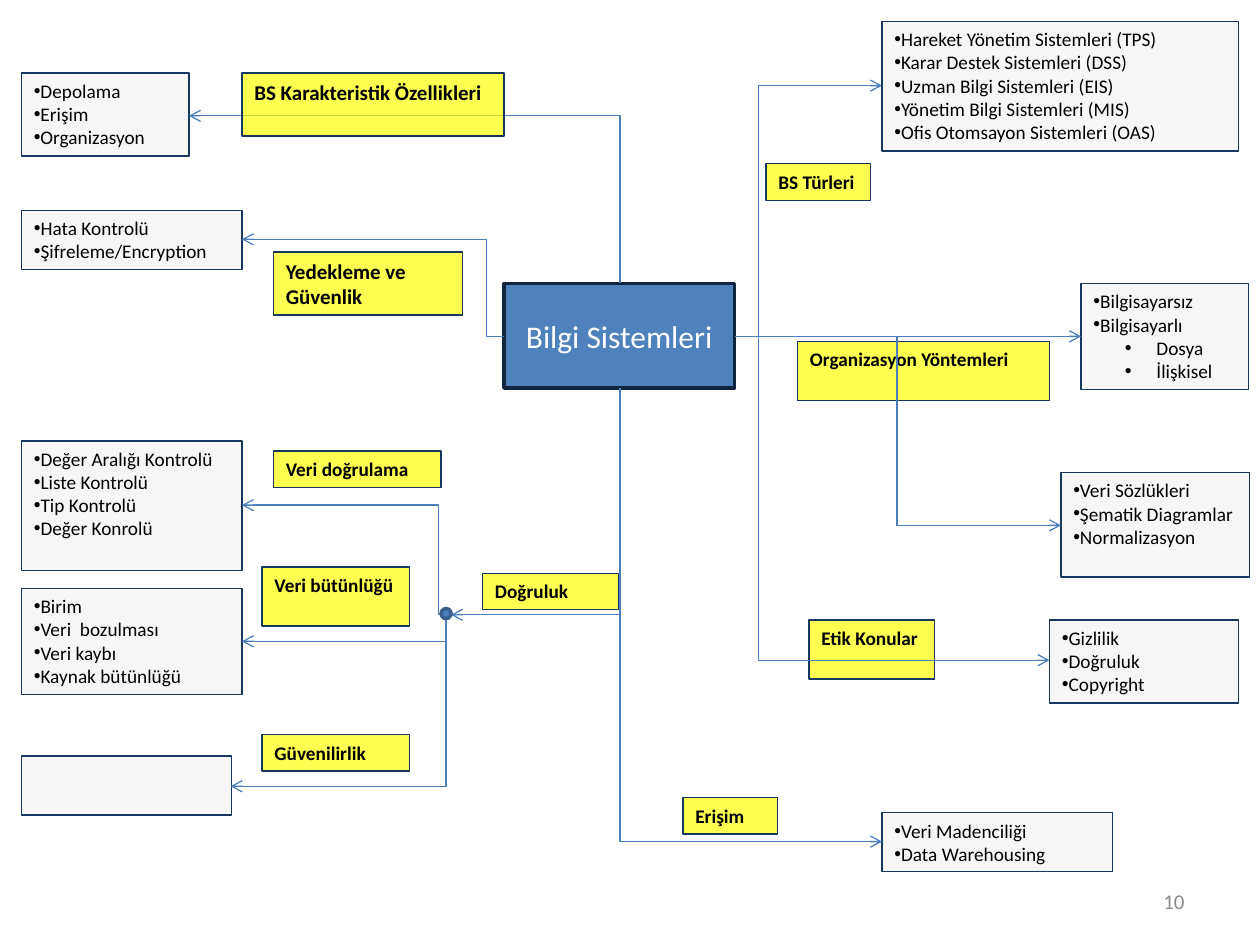
from lxml import etree
from pptx import Presentation
from pptx.dml.color import RGBColor
from pptx.enum.shapes import MSO_CONNECTOR, MSO_SHAPE
from pptx.enum.text import MSO_ANCHOR, PP_ALIGN
from pptx.oxml.ns import qn
from pptx.util import Inches, Pt

RECT, OVAL = MSO_SHAPE.RECTANGLE, MSO_SHAPE.OVAL
ELBOW = MSO_CONNECTOR.ELBOW
TOP, MIDDLE = MSO_ANCHOR.TOP, MSO_ANCHOR.MIDDLE
LEFT, CENTER, RIGHT = PP_ALIGN.LEFT, PP_ALIGN.CENTER, PP_ALIGN.RIGHT
FONT = "Calibri"
COLORS = {
    "hub": "4F81BD", "hub_line": "0F243E", "dot_line": "3A5F8C",
    "note": "F2F2F2", "label": "FFFF00", "box_line": "17375E",
    "arrow": "4B7EBC", "text": "000000", "white": "FFFFFF", "number": "8C8C8C",
}

NOTES = [
    ((0.17, 0.58, 1.33, 0.66), ["Depolama", "Erişim", "Organizasyon"]),
    ((7, 0.17, 2.83, 1.03), [
        "Hareket Yönetim Sistemleri (TPS)", "Karar Destek Sistemleri (DSS)",
        "Uzman Bilgi Sistemleri (EIS)", "Yönetim Bilgi Sistemleri (MIS)",
        "Ofis Otomsayon Sistemleri (OAS)"]),
    ((0.17, 6, 1.67, 0.47), []),
    ((0.17, 1.67, 1.75, 0.47), ["Hata Kontrolü", "Şifreleme/Encryption"]),
    ((0.17, 3.5, 1.75, 1.03), [
        "Değer Aralığı Kontrolü", "Liste Kontrolü", "Tip Kontrolü", "Değer Konrolü"]),
    ((0.17, 4.67, 1.75, 0.84), [
        "Birim", "Veri  bozulması", "Veri kaybı", "Kaynak bütünlüğü"]),
    ((8.58, 2.25, 1.33, 0.84), [
        "Bilgisayarsız", "Bilgisayarlı", ("Dosya",), ("İlişkisel",)]),
    ((8.42, 3.75, 1.5, 0.83), ["Veri Sözlükleri", "Şematik Diagramlar", "Normalizasyon"]),
    ((8.33, 4.92, 1.5, 0.66), ["Gizlilik", "Doğruluk", "Copyright"]),
    ((7, 6.45, 1.83, 0.47), ["Veri Madenciliği", "Data Warehousing"]),
]
LABELS_BEHIND = [
    ((6.33, 2.71, 2, 0.47), "Organizasyon Yöntemleri", 11),
    ((6.42, 4.92, 1, 0.47), "Etik Konular", 11),
]
LABELS_FRONT = [
    ((1.92, 0.58, 2.08, 0.5), "BS Karakteristik Özellikleri", 12),
    ((2.17, 2, 1.5, 0.5), "Yedekleme ve Güvenlik", 12),
    ((6.08, 1.3, 0.83, 0.29), "BS Türleri", 11),
    ((3.83, 4.55, 1.08, 0.29), "Doğruluk", 11),
    ((5.42, 6.33, 0.75, 0.29), "Erişim", 11),
    ((2.17, 3.58, 1.33, 0.29), "Veri doğrulama", 11),
    ((2.08, 4.5, 1.17, 0.47), "Veri bütünlüğü", 11),
    ((2.08, 5.83, 1.17, 0.29), "Güvenilirlik", 11),
]
HUB = (4, 2.25, 1.83, 0.83)
HUB_TOP, HUB_BOTTOM = (4.92, 2.25), (4.92, 3.08)
HUB_LEFT, HUB_RIGHT = (4, 2.67), (5.83, 2.67)
DOT = (3.5, 4.83, 0.08, 0.08)
DOT_BOTTOM = (3.54, 4.92)
CORNER_ARROWS = [
    (HUB_TOP, (1.5, 0.92)),
    (DOT_BOTTOM, (1.92, 5.09)),
    (DOT_BOTTOM, (1.83, 6.24)),
    (HUB_BOTTOM, (3.58, 4.88)),
    (HUB_BOTTOM, (7, 6.68)),
]
STEP_ARROWS = [
    (HUB_RIGHT, (7, 0.68), 6.02),
    (HUB_LEFT, (1.92, 1.9), 3.86),
    ((3.5, 4.88), (1.92, 4.01), 3.48),
    (HUB_RIGHT, (8.58, 2.67), 7.21),
    (HUB_RIGHT, (8.42, 4.17), 7.12),
    (HUB_RIGHT, (8.33, 5.24), 6.02),
]


def rgb(name):
    return RGBColor.from_string(COLORS[name])


def add_box(s, box, fill, line, width, kind=RECT, alpha=None):
    sp = s.shapes.add_shape(kind, *map(Inches, box))
    sp.shadow.inherit = False
    sp.fill.solid()
    sp.fill.fore_color.rgb = rgb(fill)
    sp.line.color.rgb = rgb(line)
    sp.line.width = Pt(width)
    if alpha:
        clr = sp._element.spPr.find(qn("a:solidFill")).find(qn("a:srgbClr"))
        etree.SubElement(clr, qn("a:alpha")).set("val", str(alpha * 1000))
    return sp


def write(sp, lines, size, color="text", bold=False, align=LEFT, anchor=TOP):
    tf = sp.text_frame
    tf.word_wrap = True
    tf.vertical_anchor = anchor
    tf.text = "\n".join(lines)
    for p in tf.paragraphs:
        p.alignment = align
        for r in p.runs:
            r.font.name = FONT
            r.font.size = Pt(size)
            r.font.bold = bold
            r.font.color.rgb = rgb(color)
    return tf


def add_note(s, box, items):
    sp = add_box(s, box, "note", "box_line", 0.75, alpha=68)
    if not items:
        return
    lines = [i if isinstance(i, str) else i[0] for i in items]
    tf = write(sp, lines, 11)
    for p, item in zip(tf.paragraphs, items):
        nested = not isinstance(item, str)
        p.level = int(nested)
        pPr = p._p.get_or_add_pPr()
        pPr.set("marL", str(Inches(0.5 if nested else 0)))
        pPr.set("indent", str(Inches(-0.25 if nested else 0)))
        etree.SubElement(pPr, qn("a:buFont")).set("typeface", "Arial")
        etree.SubElement(pPr, qn("a:buChar")).set("char", "•")


def add_label(s, box, text, size):
    write(add_box(s, box, "label", "box_line", 0.75, alpha=68), [text], size, bold=True)


def add_arrow(s, start, end):
    c = s.shapes.add_connector(ELBOW, *map(Inches, start + end))
    c.line.color.rgb = rgb("arrow")
    c.line.width = Pt(0.75)
    etree.SubElement(c.line._get_or_add_ln(), qn("a:tailEnd")).set("type", "arrow")
    etree.SubElement(c._element.spPr, qn("a:effectLst"))
    return c


def add_step_arrow(s, start, end, bend):
    c = add_arrow(s, start, end)
    share = (bend - start[0]) / (end[0] - start[0])
    av = c._element.spPr.find(qn("a:prstGeom")).get_or_add_avLst()
    gd = etree.SubElement(av, qn("a:gd"))
    gd.set("name", "adj1")
    gd.set("fmla", f"val {round(share * 100000)}")


def add_corner_arrow(s, start, end):
    (x1, y1), (x2, y2) = start, end
    w, h = abs(y2 - y1), abs(x2 - x1)
    left, top = (x1 + x2 - w) / 2, (y1 + y2 - h) / 2
    down, right = y2 > y1, x2 > x1
    c = add_arrow(s, (left, top), (left + w, top + h))
    spPr = c._element.spPr
    spPr.find(qn("a:prstGeom")).set("prst", "bentConnector2")
    xfrm = spPr.find(qn("a:xfrm"))
    xfrm.set("rot", str((90 if down and not right else 270) * 60000))
    xfrm.set("flipH", str(int(down and right)))
    xfrm.set("flipV", str(int(not down)))


def add_page_number(s, box, number):
    sp = s.shapes.add_textbox(*map(Inches, box))
    write(sp, [number], 12, "number", align=RIGHT, anchor=MIDDLE)


def build_mind_map(s):
    hub = add_box(s, HUB, "hub", "hub_line", 2)
    write(hub, ["Bilgi Sistemleri"], 18, "white", align=CENTER, anchor=MIDDLE)
    for note in NOTES:
        add_note(s, *note)
    for label in LABELS_BEHIND:
        add_label(s, *label)
    for arrow in CORNER_ARROWS:
        add_corner_arrow(s, *arrow)
    for arrow in STEP_ARROWS:
        add_step_arrow(s, *arrow)
    add_box(s, DOT, "hub", "dot_line", 2, OVAL)
    for label in LABELS_FRONT:
        add_label(s, *label)


prs = Presentation()
prs.slide_width, prs.slide_height = Inches(10), Inches(7.5)
s = prs.slides.add_slide(prs.slide_layouts[6])
build_mind_map(s)
add_page_number(s, (7.17, 6.95, 2.33, 0.4), "10")
prs.save("out.pptx")
